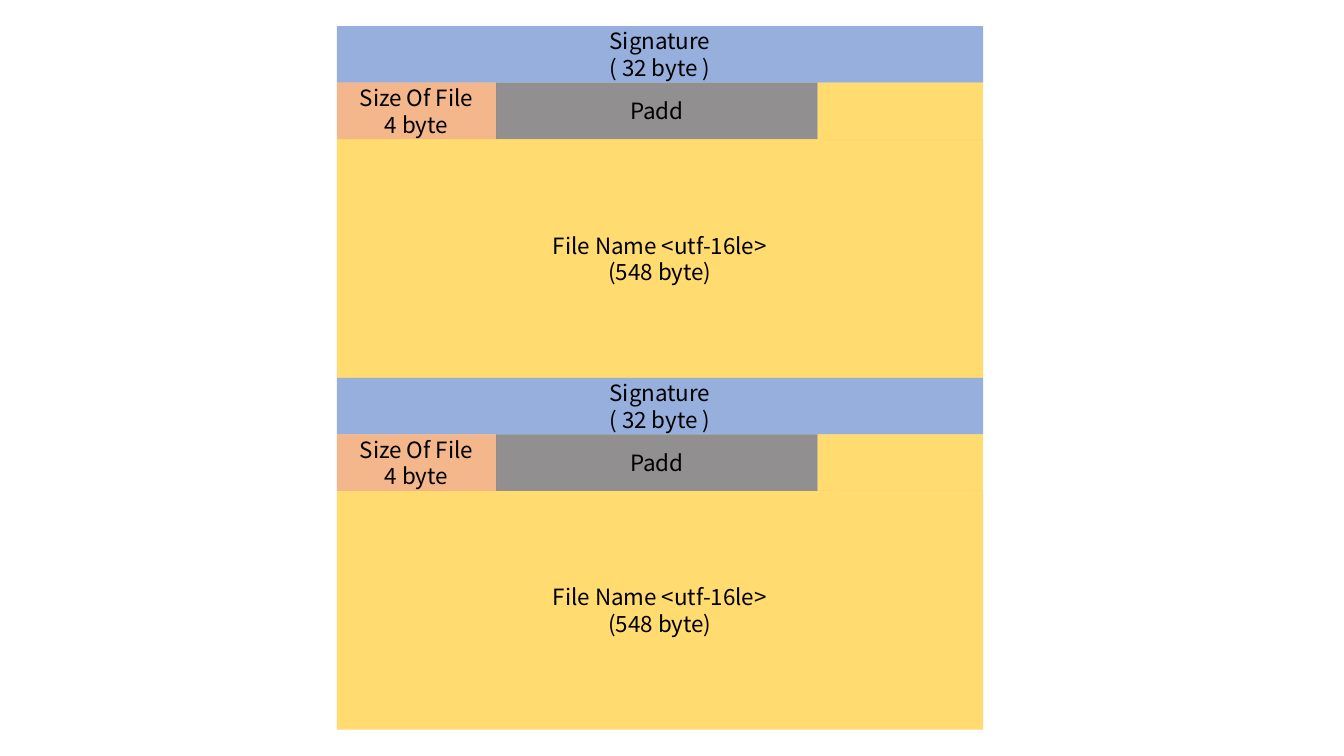
from lxml.etree import SubElement
from pptx import Presentation
from pptx.dml.color import RGBColor
from pptx.enum.shapes import MSO_SHAPE
from pptx.enum.text import MSO_ANCHOR, PP_ALIGN
from pptx.oxml.ns import qn
from pptx.util import Pt

PX = 9144
FONT = "Noto Sans CJK KR"
BLUE, ORANGE, GRAY, GOLD = "4472C4", "ED7D31", "3B3838", "FFC000"
LEFT, TOP, WIDTH = 334, 26, 641
ROWS = [
    (56, [(WIDTH, BLUE, "Signature\n( 32 byte )")]),
    (56, [(158, ORANGE, "Size Of File\n4 byte"),
          (319, GRAY, "Padd"),
          (164, GOLD, "")]),
    (237, [(WIDTH, GOLD, "File Name <utf-16le>\n(548 byte)")]),
]


def paint(fill, color, alpha=56):
    fill.solid()
    fill.fore_color.rgb = RGBColor.from_string(color)
    if alpha < 100:
        node = fill._xPr.find(qn("a:solidFill"))[0]
        SubElement(node, qn("a:alpha")).set("val", str(alpha * 1000))


def write(frame, text):
    frame.word_wrap = True
    frame.vertical_anchor = MSO_ANCHOR.MIDDLE
    frame.text = text
    for line in frame.paragraphs:
        line.alignment = PP_ALIGN.CENTER
        line.font.name = FONT
        line.font.size = Pt(16)
        paint(line.font.fill, "000000", 100)


def add_field(slide, box, color, text):
    field = slide.shapes.add_shape(
        MSO_SHAPE.RECTANGLE, *(side * PX for side in box))
    field.shadow.inherit = False
    field.line.fill.background()
    paint(field.fill, color)
    if text:
        write(field.text_frame, text)


def add_record(slide, top):
    for height, fields in ROWS:
        left = LEFT
        for width, color, text in fields:
            add_field(slide, (left, top, width, height), color, text)
            left += width
        top += height
    return top


def main():
    deck = Presentation()
    deck.slide_width = 1333 * PX
    deck.slide_height = 750 * PX
    slide = deck.slides.add_slide(deck.slide_layouts[6])
    top = TOP
    for _ in range(2):
        top = add_record(slide, top)
    deck.save("out.pptx")


if __name__ == "__main__":
    main()
